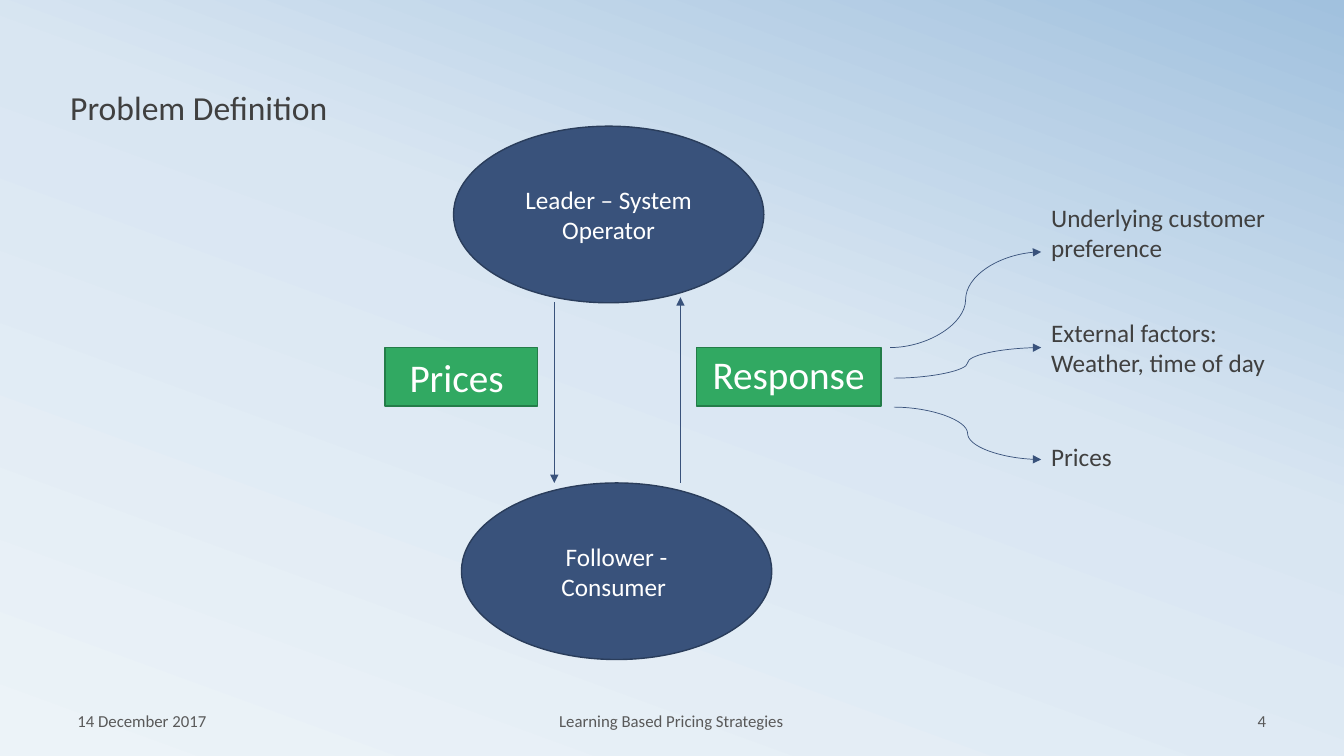
"""Build the Problem Definition slide of a pricing strategies talk."""
from copy import deepcopy
from dataclasses import dataclass
from typing import Optional

from lxml.etree import SubElement
from pptx import Presentation
from pptx.dml.color import RGBColor
from pptx.enum.shapes import MSO_CONNECTOR as Conn, MSO_SHAPE as Geo
from pptx.enum.text import MSO_ANCHOR as Anchor, PP_ALIGN as Align
from pptx.oxml.ns import qn
from pptx.util import Cm, Pt


@dataclass(frozen=True)
class Theme:
    font: str = "Calibri"
    navy: str = "39527B"
    navy_edge: str = "2A3D5B"
    green: str = "31A962"
    green_edge: str = "247D49"
    white: str = "FFFFFF"
    ink: str = "404040"
    muted: str = "595959"
    backdrop: tuple = ((0, "ECF3F8"), (0.58, "D9E6F2"), (1, "A1C1DE"))
    backdrop_angle: int = 70
    title_size: int = 24
    box_size: int = 28
    body_size: int = 18
    footer_size: int = 12
    edge_width: float = 1
    arrow_width: float = 0.5


THEME = Theme()


@dataclass(frozen=True)
class Label:
    text: str
    left: float
    top: float
    width: float
    height: float
    size: int = THEME.body_size
    color: str = THEME.ink
    align: Align = Align.LEFT
    anchor: Anchor = Anchor.TOP
    spacing: Optional[float] = None


@dataclass(frozen=True)
class Node:
    geo: Geo
    fill: str
    edge: str
    label: Label


@dataclass(frozen=True)
class Arrow:
    kind: Conn
    x1: float
    y1: float
    x2: float
    y2: float


def player(text: str, left: float, top: float) -> Node:
    """Describe one ellipse of the game."""
    label = Label(text, left, top, 7.82, 4.45, THEME.body_size, THEME.white, Align.CENTER, Anchor.MIDDLE)
    return Node(Geo.OVAL, THEME.navy, THEME.navy_edge, label)


def signal(text: str, left: float, width: float, spacing: Optional[float] = None) -> Node:
    """Describe one green box between the players."""
    label = Label(text, left, 8.76, width, 1.47, THEME.box_size, THEME.white,
                  Align.CENTER, Anchor.MIDDLE, spacing)
    return Node(Geo.RECTANGLE, THEME.green, THEME.green_edge, label)


def factor(text: str, top: float, height: float = 1.8) -> Label:
    """Describe one influence on the response."""
    return Label(text, 26.24, top, 7.42, height)


def footer(text: str, left: float, width: float, align: Align) -> Label:
    """Describe one footer entry."""
    return Label(text, left, 17.65, width, 1.02, THEME.footer_size, THEME.muted, align, Anchor.MIDDLE)


NODES = (
    player("Leader – System Operator", 11.43, 3.18),
    player("Follower - Consumer ", 11.63, 12.17),
    signal("Prices ", 9.7, 3.84),
    signal("Response", 17.55, 4.65, 0.9),
)
ARROWS = (
    Arrow(Conn.STRAIGHT, 13.97, 7.62, 13.97, 12.17),
    Arrow(Conn.STRAIGHT, 17.15, 12.17, 17.15, 7.49),
    Arrow(Conn.CURVE, 22.43, 8.76, 26.24, 6.35),
    Arrow(Conn.CURVE, 22.53, 9.53, 26.24, 8.76),
    Arrow(Conn.CURVE, 22.53, 10.26, 26.24, 11.58),
)
LABELS = (
    Label("Problem Definition", 1.52, 2.18, 22.86, 2.11, THEME.title_size, spacing=0.9),
    factor("Underlying customer preference", 4.98),
    factor("External factors:\nWeather, time of day", 7.87),
    factor("Prices", 11, 1.02),
    footer("14 December 2017", 1.7, 7.9, Align.LEFT),
    footer("Learning Based Pricing Strategies", 11.56, 10.72, Align.CENTER),
    footer("4", 24.26, 7.9, Align.RIGHT),
)


def rgb(value: str) -> RGBColor:
    """Turn a hex string into a colour."""
    return RGBColor.from_string(value)


def paint_background(s) -> None:
    """Fill the slide with the three-stop gradient."""
    fill = s.background.fill
    fill.gradient()
    fill.gradient_angle = THEME.backdrop_angle
    stops = next(s.element.iter(qn("a:gsLst")))
    stops.append(deepcopy(stops[-1]))
    for stop, (position, color) in zip(fill.gradient_stops, THEME.backdrop):
        stop.position = position
        stop.color.rgb = rgb(color)


def write(sp, label: Label) -> None:
    """Put the label's text into a shape."""
    tf = sp.text_frame
    tf.word_wrap = True
    tf.vertical_anchor = label.anchor
    tf.text = label.text
    for p in tf.paragraphs:
        p.alignment = label.align
        p.line_spacing = label.spacing
        p.font.name = THEME.font
        p.font.size = Pt(label.size)
        p.font.color.rgb = rgb(label.color)


def frame(label: Label) -> tuple:
    """Return the label's place and size as lengths."""
    return Cm(label.left), Cm(label.top), Cm(label.width), Cm(label.height)


def draw_node(s, node: Node) -> None:
    """Draw a filled shape with its text."""
    sp = s.shapes.add_shape(node.geo, *frame(node.label))
    sp.shadow.inherit = False
    sp.fill.solid()
    sp.fill.fore_color.rgb = rgb(node.fill)
    sp.line.color.rgb = rgb(node.edge)
    sp.line.width = Pt(THEME.edge_width)
    write(sp, node.label)


def draw_arrow(s, arrow: Arrow) -> None:
    """Draw a thin connector with a triangle at its end."""
    ends = (Cm(v) for v in (arrow.x1, arrow.y1, arrow.x2, arrow.y2))
    sp = s.shapes.add_connector(arrow.kind, *ends)
    sp.line.color.rgb = rgb(THEME.navy)
    sp.line.width = Pt(THEME.arrow_width)
    props = sp.element.spPr
    SubElement(props.find(qn("a:ln")), qn("a:tailEnd"), type="triangle")
    SubElement(props, qn("a:effectLst"))


def main() -> None:
    """Build and save the slide."""
    prs = Presentation()
    prs.slide_width, prs.slide_height = Cm(33.87), Cm(19.05)
    s = prs.slides.add_slide(prs.slide_layouts[6])
    paint_background(s)
    for node in NODES:
        draw_node(s, node)
    for arrow in ARROWS:
        draw_arrow(s, arrow)
    for label in LABELS:
        write(s.shapes.add_textbox(*frame(label)), label)
    prs.save("out.pptx")


if __name__ == "__main__":
    main()
